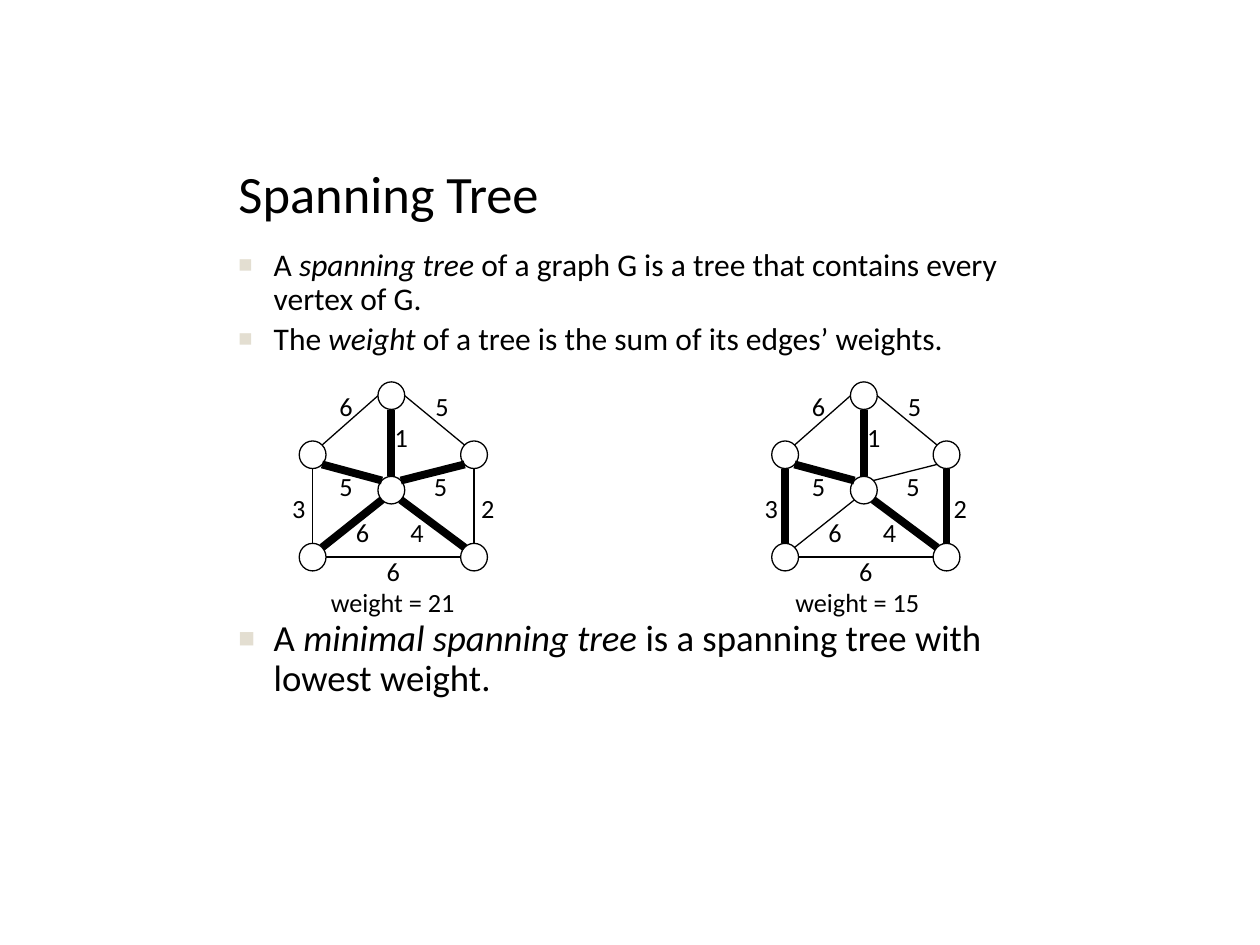
from dataclasses import dataclass
from typing import NamedTuple

import lxml.etree
import pptx
import pptx.dml.color
import pptx.enum.shapes
import pptx.enum.text
import pptx.oxml.ns
import pptx.util

COLUMNS, ROWS = 160, 120
SLIDE_WIDTH, SLIDE_HEIGHT = pptx.util.Inches(10), pptx.util.Inches(7.5)
ALIGN = pptx.enum.text.PP_ALIGN
ANCHOR = pptx.enum.text.MSO_ANCHOR


@dataclass(frozen=True)
class Theme:
    font: str = "Calibri"
    ink: str = "000000"
    bullet: str = "E3DED1"
    title_size: float = 30
    body_size: float = 18
    closing_size: float = 21
    label_size: float = 15
    thin: float = 0.75
    thick: float = 4.5


class Box(NamedTuple):
    column: float
    row: float
    width: float
    height: float


class Edge(NamedTuple):
    start: str
    start_side: str
    end: str
    end_side: str


class Label(NamedTuple):
    text: str
    column: float
    row: float


@dataclass(frozen=True)
class Graph:
    shift: float  # columns to the right of the first graph
    tree: frozenset[tuple[str, str]]  # edges drawn thick
    caption: Label


THEME = Theme()

# Places on the grid
NODE_WIDTH, NODE_HEIGHT = 3.4, 3.5
NODES = {
    "top": (48, 48.5), "left": (38, 56), "hub": (48, 60.5),
    "right": (58.5, 56), "low left": (38, 69), "low right": (58.5, 69),
}
# Attachment points as shares of a node's width and height
SIDES = {
    "N": (0.5, 0), "S": (0.5, 1), "W": (0, 0.5), "E": (1, 0.5),
    "NW": (0.15, 0.15), "NE": (0.85, 0.15), "SW": (0.15, 0.85), "SE": (0.85, 0.85),
}
EDGES = [
    Edge("top", "S", "hub", "N"),
    Edge("left", "SE", "hub", "NW"),
    Edge("hub", "NE", "right", "SW"),
    Edge("hub", "SW", "low left", "NE"),
    Edge("hub", "SE", "low right", "NW"),
    Edge("low left", "E", "low right", "W"),
    Edge("right", "S", "low right", "N"),
    Edge("right", "NW", "top", "E"),
    Edge("top", "W", "left", "NE"),
    Edge("left", "S", "low left", "N"),
]
WEIGHTS = [
    Label("1", 50, 53.5), Label("2", 61, 62.5), Label("3", 37, 62.5),
    Label("5", 55, 59.7), Label("6", 43, 49.5), Label("6", 49, 70.5),
    Label("5", 55.2, 49.5), Label("6", 45.1, 65.5), Label("4", 52, 65.5),
    Label("5", 43, 59.7),
]
SHARED_TREE = frozenset({("top", "hub"), ("left", "hub"), ("hub", "low right")})
GRAPHS = [
    Graph(0, SHARED_TREE | {("hub", "right"), ("hub", "low left")},
          Label("weight = 21", 42, 74.5)),
    Graph(60, SHARED_TREE | {("right", "low right"), ("left", "low left")},
          Label("weight = 15", 101, 74.5)),
]


def across(columns: float) -> int:
    return round(SLIDE_WIDTH * columns / COLUMNS)


def down(rows: float) -> int:
    return round(SLIDE_HEIGHT * rows / ROWS)


def color(value: str) -> pptx.dml.color.RGBColor:
    return pptx.dml.color.RGBColor.from_string(value)


def write(paragraph, text: str, *, size: float, align=ALIGN.LEFT) -> None:
    """Write text into a paragraph; parts between asterisks become italic."""
    paragraph.alignment = align
    for index, part in enumerate(text.split("*")):
        run = paragraph.add_run()
        run.text = part
        run.font.name = THEME.font
        run.font.size = pptx.util.Pt(size)
        run.font.color.rgb = color(THEME.ink)
        if index % 2:
            run.font.italic = True


def set_frame(shape, *, inset: tuple[float, float], wrap: bool, anchor) -> None:
    frame = shape.text_frame
    frame.margin_left = frame.margin_right = pptx.util.Inches(inset[0])
    frame.margin_top = frame.margin_bottom = pptx.util.Inches(inset[1])
    frame.auto_size = pptx.enum.text.MSO_AUTO_SIZE.NONE
    frame.word_wrap = wrap
    frame.vertical_anchor = anchor


def place(shape, box: Box) -> None:
    shape.left, shape.top = across(box.column), down(box.row)
    shape.width, shape.height = across(box.width), down(box.height)


def add_bullet(paragraph) -> None:
    properties = paragraph._p.get_or_add_pPr()
    properties.set("marL", str(pptx.util.Inches(0.28)))
    properties.set("indent", str(-pptx.util.Inches(0.28)))
    qualify = pptx.oxml.ns.qn
    bullet_color = lxml.etree.SubElement(properties, qualify("a:buClr"))
    lxml.etree.SubElement(bullet_color, qualify("a:srgbClr"), val=THEME.bullet)
    lxml.etree.SubElement(properties, qualify("a:buSzPct"), val="75000")
    lxml.etree.SubElement(properties, qualify("a:buChar"), char="■")


def add_label(slide, label: Label, *, width: float, shift: float = 0, align=ALIGN.LEFT) -> None:
    shape = slide.shapes.add_textbox(
        across(label.column + shift), down(label.row), across(width), down(4))
    set_frame(shape, inset=(0, 0), wrap=False, anchor=ANCHOR.TOP)
    write(shape.text_frame.paragraphs[0], label.text, size=THEME.label_size, align=align)


def add_node(slide, column: float, row: float) -> None:
    shape = slide.shapes.add_shape(
        pptx.enum.shapes.MSO_SHAPE.OVAL,
        across(column), down(row), across(NODE_WIDTH), down(NODE_HEIGHT))
    shape.shadow.inherit = False
    shape.fill.background()
    shape.line.color.rgb = color(THEME.ink)
    shape.line.width = pptx.util.Pt(THEME.thin)


def attachment(node: str, side: str, shift: float) -> tuple[int, int]:
    (column, row), (x_share, y_share) = NODES[node], SIDES[side]
    return (across(column + shift + x_share * NODE_WIDTH),
            down(row + y_share * NODE_HEIGHT))


def add_edge(slide, edge: Edge, *, shift: float, weight: float) -> None:
    connector = slide.shapes.add_connector(
        pptx.enum.shapes.MSO_CONNECTOR.STRAIGHT,
        *attachment(edge.start, edge.start_side, shift),
        *attachment(edge.end, edge.end_side, shift))
    connector.line.color.rgb = color(THEME.ink)
    connector.line.width = pptx.util.Pt(weight)
    lxml.etree.SubElement(connector._element.spPr, pptx.oxml.ns.qn("a:effectLst"))


def add_graph(slide, graph: Graph) -> None:
    for column, row in NODES.values():
        add_node(slide, column + graph.shift, row)
    for edge in EDGES:
        in_tree = (edge.start, edge.end) in graph.tree
        add_edge(slide, edge, shift=graph.shift, weight=THEME.thick if in_tree else THEME.thin)
    for label in WEIGHTS:
        add_label(slide, label, width=1.9, shift=graph.shift, align=ALIGN.CENTER)
    add_label(slide, graph.caption, width=16.6)


def main() -> None:
    presentation = pptx.Presentation()
    presentation.slide_width, presentation.slide_height = SLIDE_WIDTH, SLIDE_HEIGHT
    slide = presentation.slides.add_slide(presentation.slide_layouts[1])

    # Title
    title = slide.shapes.title
    place(title, Box(29, 20, 102, 9))
    set_frame(title, inset=(0.08, 0.04), wrap=True, anchor=ANCHOR.MIDDLE)
    write(title.text_frame.paragraphs[0], "Spanning Tree", size=THEME.title_size)

    # List, with room for the graphs above its last point
    body = slide.placeholders[1]
    place(body, Box(29, 31, 102, 69))
    set_frame(body, inset=(0.08, 0.04), wrap=True, anchor=ANCHOR.TOP)
    points = [
        ("A *spanning tree* of a graph G is a tree that contains every vertex of G.",
         THEME.body_size, 3.6),
        ("The *weight* of a tree is the sum of its edges’ weights.", THEME.body_size, 3.6),
        ("A *minimal spanning tree* is a spanning tree with lowest weight.",
         THEME.closing_size, 150),
    ]
    for index, (text, size, space) in enumerate(points):
        frame = body.text_frame
        paragraph = frame.add_paragraph() if index else frame.paragraphs[0]
        paragraph.line_spacing = 0.9
        paragraph.space_before = pptx.util.Pt(space)
        add_bullet(paragraph)
        write(paragraph, text, size=size)

    # Graphs
    for graph in GRAPHS:
        add_graph(slide, graph)

    presentation.save("out.pptx")


if __name__ == "__main__":
    main()
